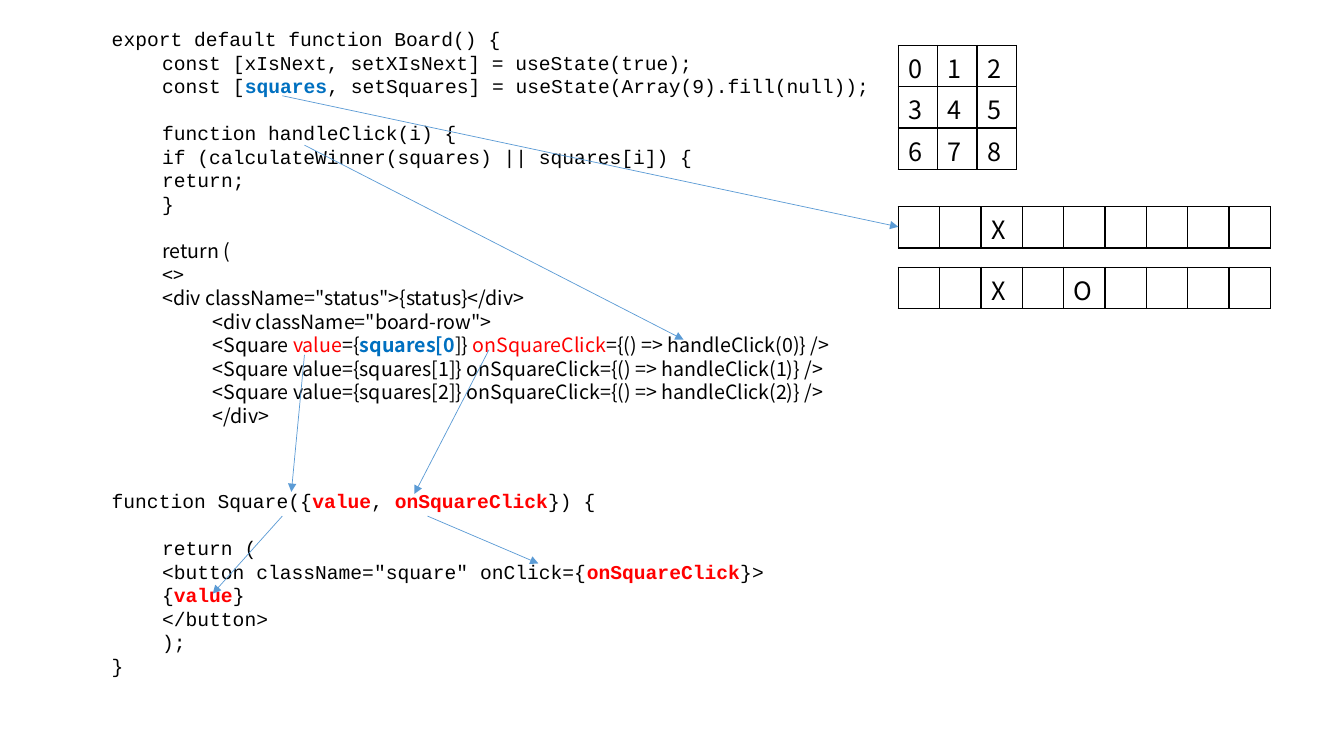
from lxml.etree import SubElement
from pptx import Presentation
from pptx.dml.color import RGBColor
from pptx.enum.shapes import MSO_CONNECTOR
from pptx.oxml import parse_xml
from pptx.oxml.ns import nsdecls, qn
from pptx.util import Inches, Pt

COLORS = {"text": "000000", "state": "0070C0", "prop": "FF0000", "arrow": "5B9BD5"}
MONO, SANS = "Courier New", "Noto Sans CJK KR"
LINE_PITCH = Pt(16.8)

# Each line: indent level, gap above, font, parts (text, color key, bold)
board_code = [
    (0, False, MONO, [("export default function Board() {", "text", False)]),
    (1, False, MONO, [("const [xIsNext, setXIsNext] = useState(true);", "text", False)]),
    (1, False, MONO, [("const [", "text", False), ("squares", "state", True),
                      (", setSquares] = useState(Array(9).fill(null));", "text", False)]),
    (1, True, MONO, [("function handleClick(i) {", "text", False)]),
    (1, False, MONO, [("if (calculateWinner(squares) || squares[i]) {", "text", False)]),
    (1, False, MONO, [("return;", "text", False)]),
    (1, False, MONO, [("}", "text", False)]),
    (1, True, SANS, [("return (", "text", False)]),
    (1, False, SANS, [("<>", "text", False)]),
    (1, False, SANS, [('<div className="status">{status}</div>', "text", False)]),
    (2, False, SANS, [('<div className="board-row">', "text", False)]),
    (2, False, SANS, [("<Square ", "text", False), ("value", "prop", False),
                      ("={", "text", False), ("squares[0", "state", True),
                      ("]} ", "text", False), ("onSquareClick", "prop", False),
                      ("={() => handleClick(0)} />", "text", False)]),
    *[(2, False, SANS, [(f"<Square value={{squares[{i}]}} onSquareClick={{() => handleClick({i})}} />",
                         "text", False)]) for i in (1, 2)],
    (2, False, SANS, [("</div>", "text", False)]),
]
square_code = [
    (0, False, MONO, [("function Square({", "text", False), ("value", "prop", True),
                      (", ", "text", False), ("onSquareClick", "prop", True),
                      ("}) {", "text", False)]),
    (1, True, MONO, [("return (", "text", False)]),
    (1, False, MONO, [('<button className="square" onClick={', "text", False),
                      ("onSquareClick", "prop", True), ("}>", "text", False)]),
    (1, False, MONO, [("{", "text", False), ("value", "prop", True), ("}", "text", False)]),
    (1, False, MONO, [("</button>", "text", False)]),
    (1, False, MONO, [(");", "text", False)]),
    (0, False, MONO, [("}", "text", False)]),
]


def style_font(font, name, size, color, bold=False):
    font.name, font.size, font.bold = name, Pt(size), bold
    font.color.rgb = RGBColor.from_string(COLORS[color])


def add_cell_borders(cell):
    properties = cell._tc.get_or_add_tcPr()
    for position, side in enumerate(("lnL", "lnR", "lnT", "lnB")):
        properties.insert(position, parse_xml(
            f'<a:{side} {nsdecls("a")} w="12700"><a:solidFill>'
            f'<a:srgbClr val="{COLORS["text"]}"/></a:solidFill></a:{side}>'))


prs = Presentation()
prs.slide_width, prs.slide_height = Inches(13.33), Inches(7.5)
slide = prs.slides.add_slide(prs.slide_layouts[6])

# Code listings
for code, box in ((square_code, (1.01, 4.8, 6.67, 1.99)), (board_code, (1.01, 0.22, 9.45, 4.58))):
    frame = slide.shapes.add_textbox(*map(Inches, box)).text_frame
    frame.word_wrap = True
    for number, (level, gap, font_name, parts) in enumerate(code):
        line = frame.add_paragraph() if number else frame.paragraphs[0]
        line.level = level
        line.line_spacing = LINE_PITCH
        line.space_before = LINE_PITCH if gap else Pt(0)
        line._p.get_or_add_pPr().set("marL", str(Inches(0.5 * level)))
        line._p.get_or_add_pPr().set("indent", "0")
        for text, color, bold in parts:
            run = line.add_run()
            run.text = text
            style_font(run.font, font_name, 14, color, bold)

# Board numbering and two states of the squares array
grids = [
    (0.45, 0.39, ["012", "345", "678"]),
    (2.05, 0.41, ["  X      "]),
    (2.65, 0.41, ["  X O    "]),
]
for top, column_width, rows in grids:
    grid = slide.shapes.add_table(
        len(rows), len(rows[0]), Inches(8.91), Inches(top),
        Inches(column_width * len(rows[0])), Inches(0.41 * len(rows))).table
    grid.first_row = grid.horz_banding = False
    for column in grid.columns:
        column.width = Inches(column_width)
    for r, marks in enumerate(rows):
        for c, mark in enumerate(marks):
            cell = grid.cell(r, c)
            cell.margin_top, cell.margin_bottom = Inches(0.04), Inches(0)
            cell.fill.background()
            add_cell_borders(cell)
            if mark != " ":
                cell.text = mark
                style_font(cell.text_frame.paragraphs[0].runs[0].font, SANS, 18, "text")

# Data flow arrows
flows = [
    (4.85, 3.47, 4.11, 4.9),
    (3.02, 3.52, 2.89, 4.88),
    (4.24, 5.12, 5.34, 5.59),
    (2.8, 5.12, 2.11, 5.89),
    (3.02, 1.44, 6.78, 3.37),
    (2.8, 0.95, 8.91, 2.25),
]
for ends in flows:
    arrow = slide.shapes.add_connector(MSO_CONNECTOR.STRAIGHT, *map(Inches, ends))
    arrow.line.color.rgb = RGBColor.from_string(COLORS["arrow"])
    arrow.line.width = Pt(0.5)
    SubElement(arrow.line._get_or_add_ln(), qn("a:tailEnd"), type="triangle")
    SubElement(arrow._element.spPr, qn("a:effectLst"))

prs.save("out.pptx")
